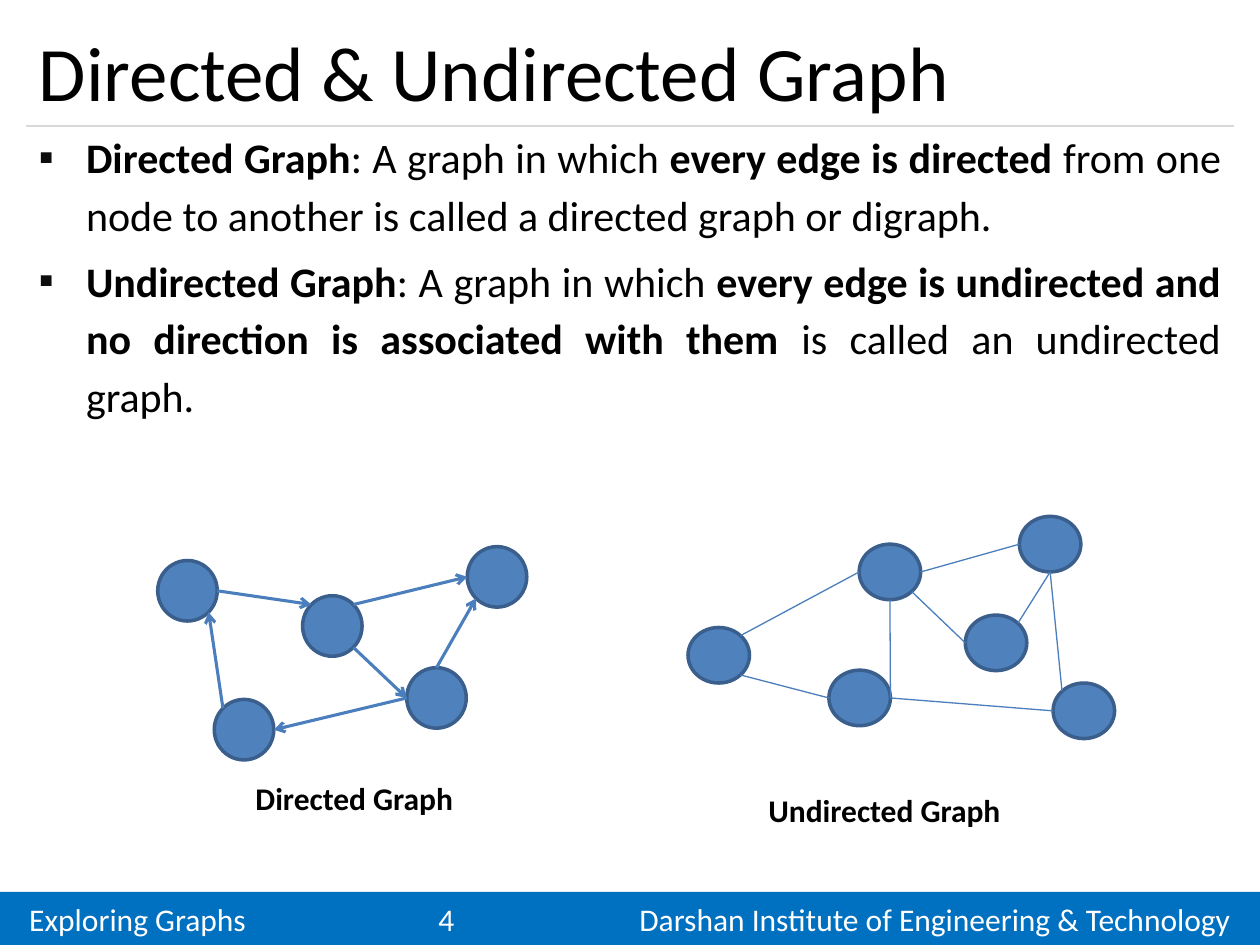
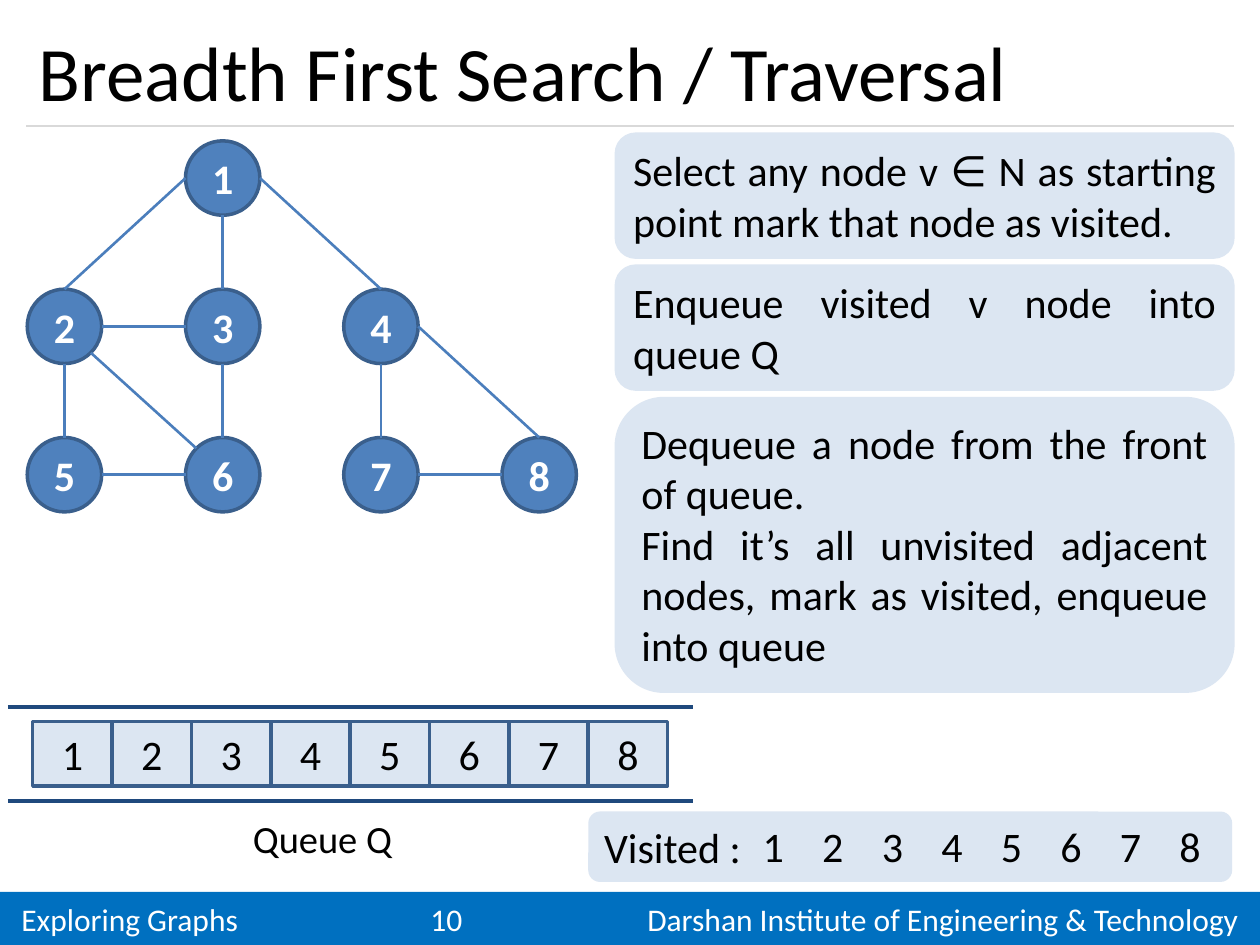
from lxml.etree import SubElement
from pptx import Presentation
from pptx.dml.color import RGBColor
from pptx.enum.shapes import MSO_CONNECTOR as Connector, MSO_SHAPE as Shape
from pptx.enum.text import MSO_ANCHOR as Anchor, MSO_AUTO_SIZE as AutoSize, PP_ALIGN as Align
from pptx.oxml.ns import qn
from pptx.util import Cm, Pt

COLORS = {
    "text": "000000", "white": "FFFFFF", "band": "0070C0", "rule": "D9D9D9",
    "bullet": "0D0D0D", "node": "4F81BD", "outline": "3A5F8C", "edge": "4B7EBC",
    "panel": "DCE6F2", "queue": "1F497D",
}
FONT = "Calibri"
LAYOUT_BODY, LAYOUT_TITLE_ONLY = 1, 5

# Direction from a node's centre to a point on its outline
DIAGONAL = 0.71
COMPASS = {
    "N": (0, -1), "S": (0, 1), "W": (-1, 0), "E": (1, 0),
    "NW": (-DIAGONAL, -DIAGONAL), "NE": (DIAGONAL, -DIAGONAL),
    "SW": (-DIAGONAL, DIAGONAL), "SE": (DIAGONAL, DIAGONAL),
}


def rgb(name):
    return RGBColor.from_string(COLORS[name])


def write(para, text, size=24, color="text", bold=False, align=None):
    """Add one formatted span to a paragraph."""
    if align is not None:
        para.alignment = align
    span = para.add_run()
    span.text = text
    span.font.name = FONT
    span.font.size = Pt(size)
    span.font.bold = bold
    span.font.color.rgb = rgb(color)


class SlideBuilder:
    """Holds the deck, its style and the slide being built."""

    def __init__(self):
        self.deck = Presentation()
        self.deck.slide_width, self.deck.slide_height = Cm(25.4), Cm(19.05)
        self.page = None

    def start(self, title, number, layout, footer_edge):
        self.page = self.deck.slides.add_slide(self.deck.slide_layouts[layout])
        self.footer(number, footer_edge)
        self.line((0.53, 2.54), (24.87, 2.54), "rule", 0.75)
        frame = self.placeholder(self.page.shapes.title, 0.3, 2.24, Anchor.MIDDLE)
        write(frame.paragraphs[0], title, size=44, align=Align.LEFT)

    def footer(self, number, edge):
        band = self.box(Shape.RECTANGLE, 0, 17.98, 25.4, 1.07, "band")
        frame = band.text_frame
        frame.margin_left = frame.margin_right = Cm(edge)
        para = frame.paragraphs[0]
        stops = SubElement(para._p.get_or_add_pPr(), qn("a:tabLst"))
        for position, kind in ((9 - edge, "ctr"), (25.4 - 2 * edge, "r")):
            SubElement(stops, qn("a:tab"), pos=str(int(Cm(position))), algn=kind)
        text = f"Exploring Graphs\t{number}\tDarshan Institute of Engineering & Technology"
        write(para, text, size=18, color="white", align=Align.LEFT)

    def placeholder(self, holder, top, height, anchor):
        holder.left, holder.top = Cm(0.53), Cm(top)
        holder.width, holder.height = Cm(24.34), Cm(height)
        frame = holder.text_frame
        frame.auto_size = AutoSize.NONE
        frame.word_wrap = True
        frame.vertical_anchor = anchor
        return frame

    def bullets(self, items):
        """Each item is a list of texts, bold and regular in turn."""
        frame = self.placeholder(self.page.placeholders[1], 2.39, 14.81, Anchor.TOP)
        for index, texts in enumerate(items):
            para = frame.add_paragraph() if index else frame.paragraphs[0]
            para.line_spacing = 1.14
            para.space_before = Pt(4.8 if index else 0)
            props = para._p.get_or_add_pPr()
            props.set("marL", str(int(Cm(0.95))))
            props.set("indent", str(int(Cm(-0.95))))
            SubElement(SubElement(props, qn("a:buClr")), qn("a:srgbClr"), val=COLORS["bullet"])
            SubElement(props, qn("a:buFont"), typeface=FONT)
            SubElement(props, qn("a:buChar"), char="▪")
            for order, text in enumerate(texts):
                write(para, text, bold=order % 2 == 0, align=Align.JUSTIFY)

    def box(self, kind, left, top, width, height, fill, outline=None):
        shape = self.page.shapes.add_shape(kind, Cm(left), Cm(top), Cm(width), Cm(height))
        shape.shadow.inherit = False
        shape.fill.solid()
        shape.fill.fore_color.rgb = rgb(fill)
        if outline:
            shape.line.color.rgb = rgb(outline)
            shape.line.width = Pt(2)
        else:
            shape.line.fill.background()
        shape.text_frame.word_wrap = True
        return shape

    def cell(self, text, left, top, width, height, outline=None):
        shape = self.box(Shape.RECTANGLE, left, top, width, height, "panel", outline)
        write(shape.text_frame.paragraphs[0], text, align=Align.CENTER)

    def panel(self, left, top, width, height, *texts):
        frame = self.box(Shape.ROUNDED_RECTANGLE, left, top, width, height, "panel").text_frame
        frame.vertical_anchor = Anchor.TOP
        for index, text in enumerate(texts):
            para = frame.add_paragraph() if index else frame.paragraphs[0]
            write(para, text, align=Align.JUSTIFY)

    def label(self, text, left, top, width, height, **style):
        frame = self.page.shapes.add_textbox(Cm(left), Cm(top), Cm(width), Cm(height)).text_frame
        frame.word_wrap = True
        write(frame.paragraphs[0], text, **style)

    def line(self, start, end, color, weight, arrow=False):
        points = [Cm(value) for value in (*start, *end)]
        connector = self.page.shapes.add_connector(Connector.STRAIGHT, *points)
        connector.line.color.rgb = rgb(color)
        connector.line.width = Pt(weight)
        if arrow:
            SubElement(connector.line._get_or_add_ln(), qn("a:tailEnd"), type="arrow")
        SubElement(connector._element.spPr, qn("a:effectLst"))

    def graph(self, nodes, size, edges, weight, arrow=False, numbered=False):
        """Nodes map a name to its left and top; edges are "name side name side"."""
        width, height = size

        def site(name, side):
            (left, top), (across, down) = nodes[name], COMPASS[side]
            return left + width / 2 * (1 + across), top + height / 2 * (1 + down)

        for name, (left, top) in nodes.items():
            node = self.box(Shape.OVAL, left, top, width, height, "node", "outline")
            if numbered:
                write(node.text_frame.paragraphs[0], name, color="white", bold=True,
                      align=Align.CENTER)
        for edge in edges:
            first, first_side, second, second_side = edge.split()
            self.line(site(first, first_side), site(second, second_side), "edge", weight, arrow)


def build_graph_kinds(builder):
    builder.start("Directed & Undirected Graph", 4, LAYOUT_BODY, footer_edge=0.59)
    builder.bullets([
        ["Directed Graph", ": A graph in which ", "every edge is directed",
         " from one node to another is called a directed graph or digraph."],
        ["Undirected Graph", ": A graph in which ",
         "every edge is undirected and no direction is associated with them ",
         "is called an undirected graph."],
    ])

    # Directed graph
    directed = {"A": (3.18, 11.3), "B": (6.1, 12.01), "C": (4.32, 14.1),
                "D": (8.2, 13.46), "E": (9.42, 11.02)}
    builder.graph(directed, (1.2, 1.22),
                  ["A E B NW", "B SE D W", "D N E SW", "C NW A SE", "B NE E W", "D W C E"],
                  weight=1.75, arrow=True)
    builder.label("Directed Graph", 4.9, 15.57, 6.55, 1.47, size=18, bold=True)

    # Undirected graph
    undirected = {"A": (17.32, 10.97), "B": (19.46, 12.4), "C": (16.71, 13.51),
                  "D": (21.23, 13.77), "E": (20.55, 10.41), "F": (13.87, 12.65)}
    builder.graph(undirected, (1.24, 1.12),
                  ["F NE A W", "F SE C W", "B NE E S", "A E E W",
                   "A S C E", "A SE B W", "C E D W", "E S D NW"],
                  weight=0.75)
    builder.label("Undirected Graph", 15.24, 15.82, 8.08, 1.35, size=18, bold=True)


def build_breadth_first(builder):
    builder.start("Breadth First Search / Traversal", 10, LAYOUT_TITLE_ONLY, footer_edge=0.43)

    # Graph laid out on a grid of columns and rows
    grid = {"1": (1, 0), "2": (0, 1), "3": (1, 1), "4": (2, 1),
            "5": (0, 2), "6": (1, 2), "7": (2, 2), "8": (3, 2)}
    nodes = {name: (0.55 + 3.19 * column, 2.84 + 2.99 * row)
             for name, (column, row) in grid.items()}
    builder.graph(nodes, (1.5, 1.5),
                  ["1 S 3 N", "2 N 1 W", "1 E 4 N", "3 S 6 N", "2 S 5 N", "2 SE 6 NW",
                   "2 E 3 W", "5 E 6 W", "7 E 8 W", "4 S 7 N", "4 E 8 N"],
                  weight=1.5, numbered=True)

    # Steps
    builder.panel(12.39, 2.67, 12.5, 2.55,
                  "Select any node v ∈ N as starting point mark that node as visited.")
    builder.panel(12.39, 5.33, 12.5, 2.55, "Enqueue visited v node into queue Q")
    builder.panel(12.39, 8, 12.5, 5.97,
                  "Dequeue a node from the front of queue.",
                  "Find it’s all unvisited adjacent nodes, mark as visited, enqueue into queue")

    # Queue and visited list
    builder.panel(11.86, 16.36, 12.98, 1.42, "Visited :")
    for index, name in enumerate(grid):
        builder.cell(name, 0.66 + 1.6 * index, 14.55, 1.6, 1.3, "outline")
        builder.cell(name, 14.99 + 1.2 * index, 16.44, 1.2, 1.2)
    for height in (14.25, 16.15):
        builder.line((0.16, height), (13.96, height), "queue", 2.25)
    builder.label("Queue Q", 4.85, 16.31, 3.4, 1.19, size=22)


def main():
    builder = SlideBuilder()
    build_graph_kinds(builder)
    build_breadth_first(builder)
    builder.deck.save("out.pptx")


if __name__ == "__main__":
    main()
